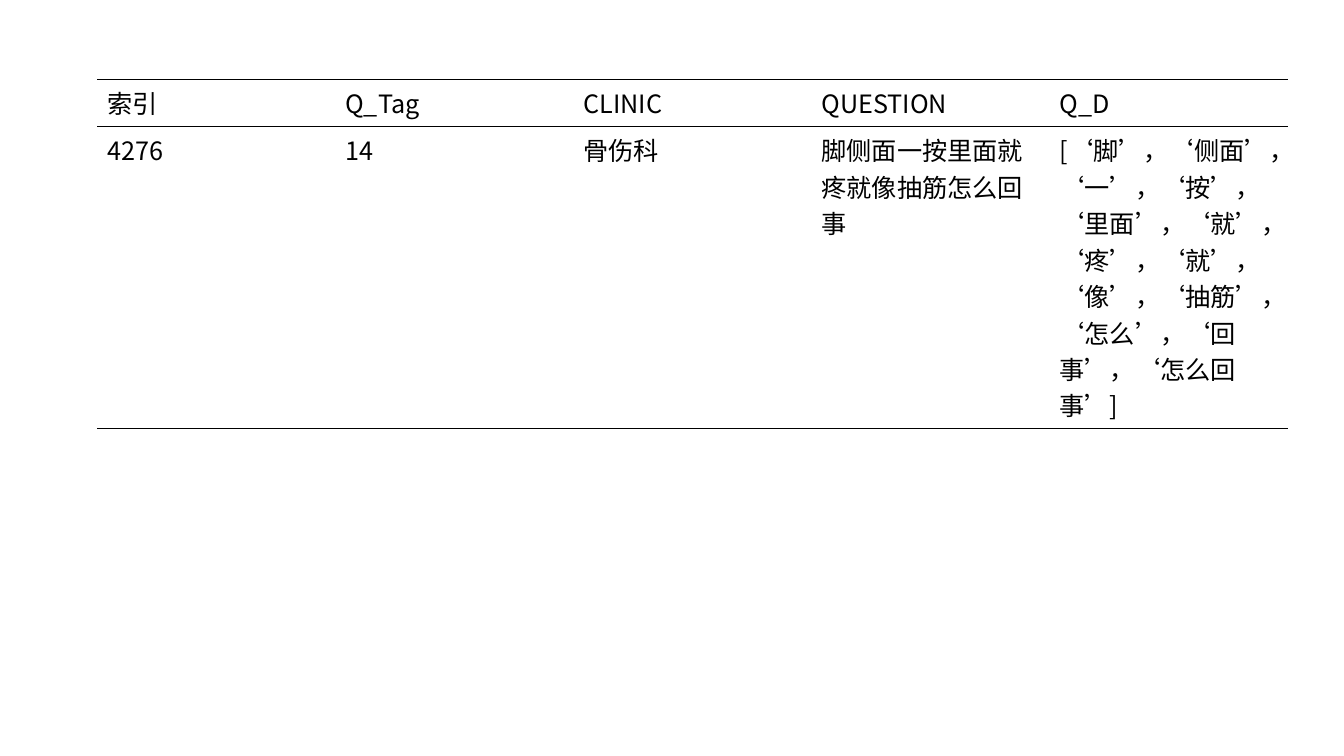
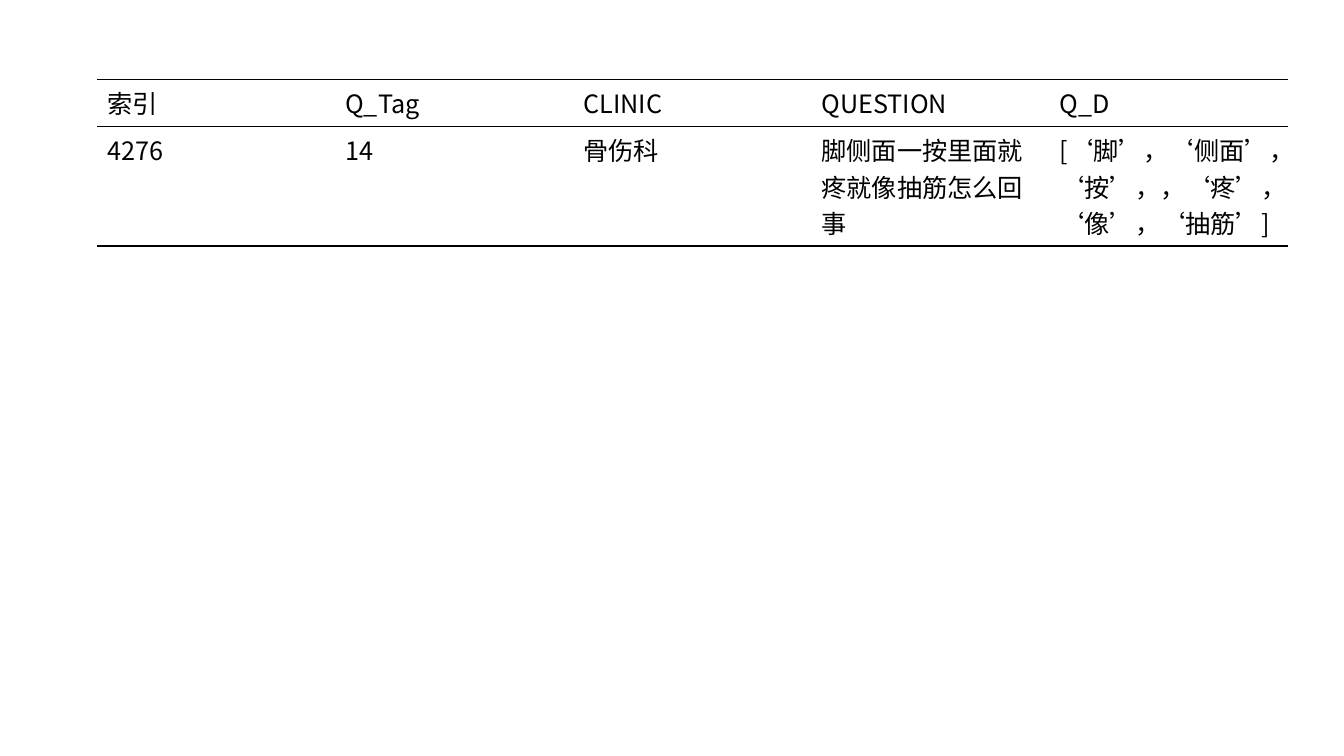
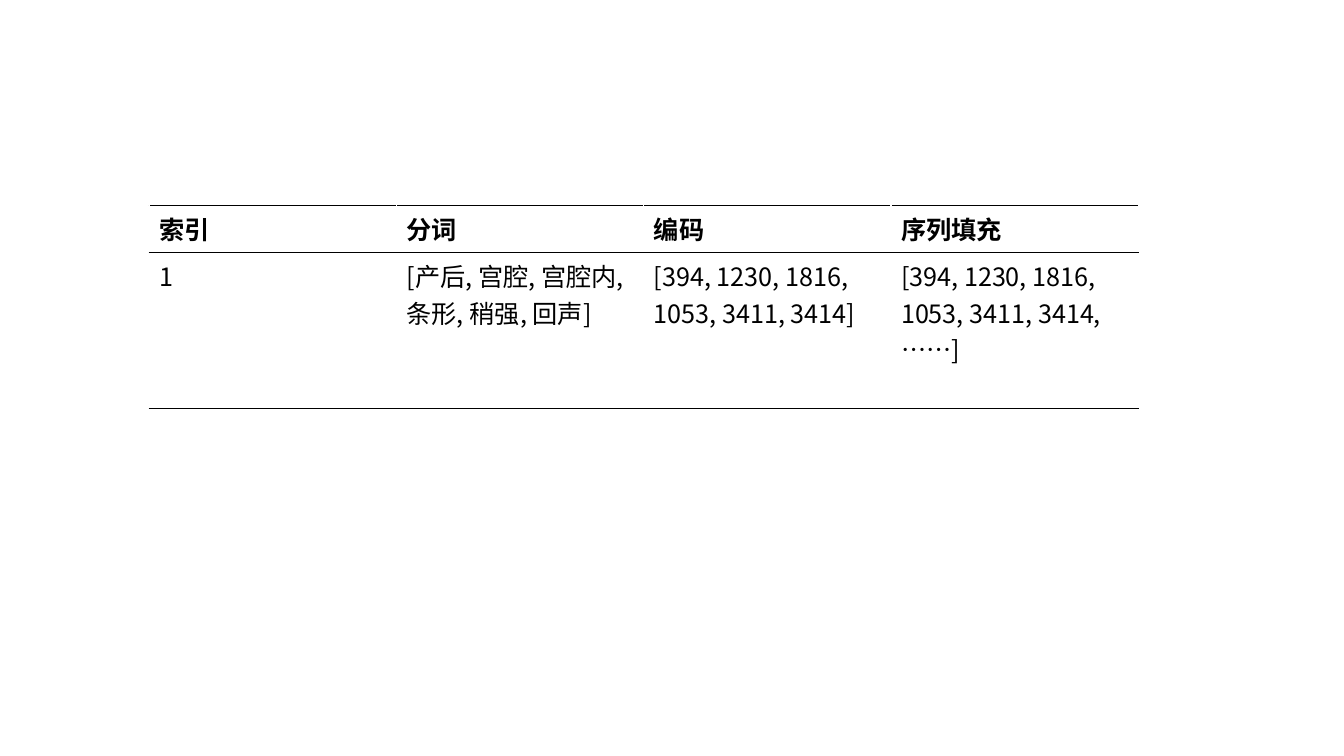
from lxml.etree import SubElement
from pptx import Presentation
from pptx.dml.color import RGBColor
from pptx.enum.lang import MSO_LANGUAGE_ID
from pptx.oxml.ns import qn
from pptx.util import Pt

COLORS = {"text": "000000", "rule": "000000", "gap": "FFFFFF"}
FONT = "Noto Sans CJK SC"
BLANK_LAYOUT = 6
HEADER_HEIGHT = 33.5


class TableDeck:
    text_format = {"name": FONT, "size": Pt(18), "language_id": MSO_LANGUAGE_ID.SIMPLIFIED_CHINESE}
    table_format = {"first_row": False, "horz_banding": False}
    rule_width = Pt(1)

    def __init__(self):
        self.presentation = Presentation()
        self.presentation.slide_width = Pt(960)
        self.presentation.slide_height = Pt(540)
        self.slide = None

    def add_slide(self):
        layout = self.presentation.slide_layouts[BLANK_LAYOUT]
        self.slide = self.presentation.slides.add_slide(layout)

    def add_text(self, cell, text, bold):
        run = cell.text_frame.paragraphs[0].add_run()
        run.text = text
        for name, value in self.text_format.items():
            setattr(run.font, name, value)
        run.font.bold = bold
        run.font.color.rgb = RGBColor.from_string(COLORS["text"])
        SubElement(run.font._element, qn("a:ea"), typeface=FONT)

    def add_borders(self, cell, side_color):
        properties = cell._tc.get_or_add_tcPr()
        sides = {"lnL": side_color, "lnR": side_color, "lnT": "rule", "lnB": "rule"}
        for tag, color in sides.items():
            line = SubElement(properties, qn(f"a:{tag}"), w=str(self.rule_width))
            if color:
                fill = SubElement(line, qn("a:solidFill"))
                SubElement(fill, qn("a:srgbClr"), val=COLORS[color])
            else:
                SubElement(line, qn("a:noFill"))

    def add_table(self, left, top, column_width, body_height, rows,
                  bold_header=False, side_color=None):
        column_count = len(rows[0])
        heights = [HEADER_HEIGHT, body_height]
        frame = self.slide.shapes.add_table(
            len(rows), column_count, Pt(left), Pt(top),
            Pt(column_width * column_count), Pt(sum(heights)))
        table = frame.table
        for name, value in self.table_format.items():
            setattr(table, name, value)
        for column in table.columns:
            column.width = Pt(column_width)
        for row_index, texts in enumerate(rows):
            table.rows[row_index].height = Pt(heights[row_index])
            for column_index, text in enumerate(texts):
                cell = table.cell(row_index, column_index)
                self.add_text(cell, text, bold_header and row_index == 0)
                self.add_borders(cell, side_color)
                cell.fill.background()


def main():
    deck = TableDeck()
    question_header = ["索引", "Q_Tag", "CLINIC", "QUESTION", "Q_D"]
    question = ["4276", "14", "骨伤科", "脚侧面一按里面就疼就像抽筋怎么回事"]
    segmentations = [
        (215.5, "[‘脚’，‘侧面’，‘一’，‘按’，‘里面’，‘就’，‘疼’，‘就’，‘像’，"
                "‘抽筋’，‘怎么’，‘回事’，‘怎么回事’]"),
        (85.5, "[‘脚’，‘侧面’，‘按’，，‘疼’，‘像’，‘抽筋’]"),
    ]
    for body_height, words in segmentations:
        deck.add_slide()
        deck.add_table(69.3, 56.8, 170.1, body_height, [question_header, question + [words]])

    deck.add_slide()
    deck.add_table(106.6, 146.8, 176.6, 111.5, [
        ["索引", "分词", "编码", "序列填充"],
        ["1", "[产后, 宫腔, 宫腔内, 条形, 稍强, 回声]",
         "[394, 1230, 1816, 1053, 3411, 3414]",
         "[394, 1230, 1816, 1053, 3411, 3414, ……]"],
    ], bold_header=True, side_color="gap")
    deck.presentation.save("out.pptx")


if __name__ == "__main__":
    main()
